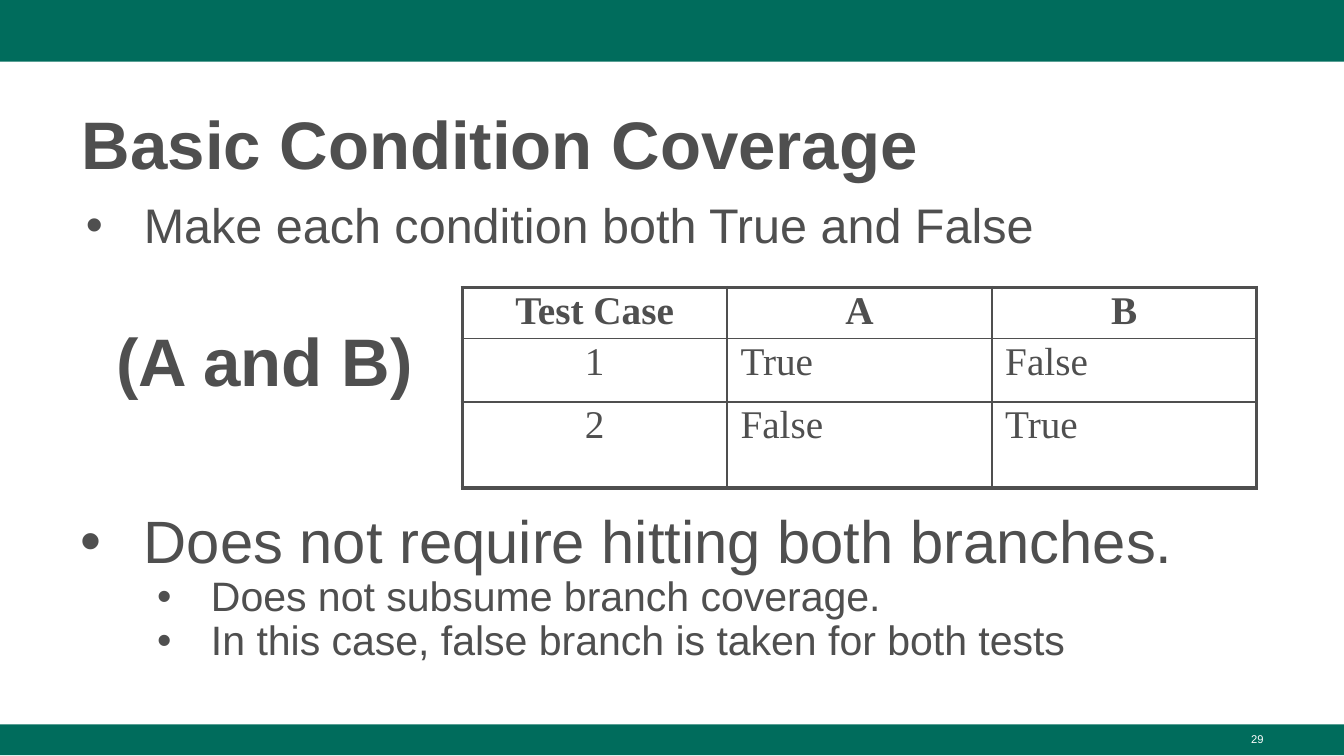
"""Build the Basic Condition Coverage slide."""
import pptx
import pptx.dml.color
import pptx.enum.shapes
import pptx.enum.text
import pptx.oxml
import pptx.oxml.ns
import pptx.util

Inches, Pt = pptx.util.Inches, pptx.util.Pt
ALIGN = pptx.enum.text.PP_ALIGN
ANCHOR = pptx.enum.text.MSO_ANCHOR

COLORS = {"band": "006C5C", "text": "4F4F4F", "page": "FFFFFF"}
WIDTH = 10
HEIGHT = WIDTH * 9 / 16
MARGIN, CONTENT_WIDTH = 0.51, 8.99
BANDS = [(0, 0.46), (5.39, 0.23)]

TITLE = "Basic Condition Coverage"
EXPRESSION = "(A and B)"
PAGE_NUMBER = "29"
BULLETS = [
    {"text": "Make each condition both True and False", "size": 26, "level": 0, "hang": 0.43, "before": 0},
    {"text": "Does not require hitting both branches.", "size": 32, "level": 0, "hang": 0.47, "before": 138},
    {"text": "Does not subsume branch coverage.", "size": 22, "level": 1, "hang": 0.4, "before": 0},
    {"text": "In this case, false branch is taken for both tests", "size": 22, "level": 1, "hang": 0.4, "before": 0},
]
TEST_CASES = [("Test Case", "A", "B"), ("1", "True", "False"), ("2", "False", "True")]
COLUMN_WIDTH = 1.97
ROW_HEIGHTS = [0.38, 0.47, 0.64]
OUTER_LINE, INNER_LINE = 2.25, 1


def rgb(name):
    return pptx.dml.color.RGBColor.from_string(COLORS[name])


def set_box(shape, left, top, width, height):
    shape.left, shape.top = Inches(left), Inches(top)
    shape.width, shape.height = Inches(width), Inches(height)


def set_frame(frame, insets, anchor=ANCHOR.TOP):
    frame.word_wrap = True
    frame.auto_size = pptx.enum.text.MSO_AUTO_SIZE.NONE
    frame.vertical_anchor = anchor
    frame.margin_left, frame.margin_top, frame.margin_right, frame.margin_bottom = map(Inches, insets)


def write(paragraph, text, size, color="text", bold=False, font="Arial",
          align=ALIGN.LEFT, spacing=1.0, before=0):
    paragraph.text = text
    paragraph.alignment = align
    paragraph.line_spacing = spacing
    paragraph.space_before = Pt(before)
    paragraph.font.name = font
    paragraph.font.size = Pt(size)
    paragraph.font.bold = bold
    paragraph.font.color.rgb = rgb(color)


def add_bullet(paragraph, margin, hang):
    properties = paragraph._p.get_or_add_pPr()
    properties.set("marL", str(Inches(margin)))
    properties.set("indent", str(-Inches(hang)))
    namespace = pptx.oxml.ns.nsdecls("a")
    for xml in (f'<a:buClr {namespace}><a:srgbClr val="{COLORS["text"]}"/></a:buClr>',
                f'<a:buFont {namespace} typeface="Arial"/>',
                f'<a:buChar {namespace} char="•"/>'):
        properties.append(pptx.oxml.parse_xml(xml))


def add_label(slide, text, box, insets, **style):
    label = slide.shapes.add_textbox(*map(Inches, box))
    set_frame(label.text_frame, insets)
    write(label.text_frame.paragraphs[0], text, **style)


def set_borders(cell, outer_sides):
    properties = cell._tc.get_or_add_tcPr()
    for side, outer in zip("LRTB", outer_sides):
        width = Pt(OUTER_LINE if outer else INNER_LINE)
        properties.append(pptx.oxml.parse_xml(
            f'<a:ln{side} {pptx.oxml.ns.nsdecls("a")} w="{width}"><a:solidFill>'
            f'<a:srgbClr val="{COLORS["text"]}"/></a:solidFill></a:ln{side}>'))


def add_test_table(slide):
    rows, columns = len(TEST_CASES), len(TEST_CASES[0])
    table = slide.shapes.add_table(
        rows, columns, Inches(3.44), Inches(2.14),
        Inches(COLUMN_WIDTH * columns), Inches(sum(ROW_HEIGHTS))).table
    table.first_row = table.horz_banding = False
    for column in table.columns:
        column.width = Inches(COLUMN_WIDTH)
    for r, (values, height) in enumerate(zip(TEST_CASES, ROW_HEIGHTS)):
        table.rows[r].height = Inches(height)
        for c, value in enumerate(values):
            cell = table.cell(r, c)
            cell.margin_left = cell.margin_right = Inches(0.1)
            cell.margin_top = cell.margin_bottom = Inches(0.04)
            set_borders(cell, (c == 0, c == columns - 1, r == 0, r == rows - 1))
            cell.fill.background()
            centred = r == 0 or c == 0
            write(cell.text_frame.paragraphs[0], value, 21, bold=r == 0, font="Times New Roman",
                  align=ALIGN.CENTER if centred else ALIGN.LEFT, spacing=0.9)


def main():
    presentation = pptx.Presentation()
    presentation.slide_width, presentation.slide_height = Inches(WIDTH), Inches(HEIGHT)
    slide = presentation.slides.add_slide(presentation.slide_layouts[1])
    slide.background.fill.solid()
    slide.background.fill.fore_color.rgb = rgb("page")

    for top, height in BANDS:
        band = slide.shapes.add_shape(pptx.enum.shapes.MSO_SHAPE.RECTANGLE,
                                      0, Inches(top), Inches(WIDTH), Inches(height))
        band.shadow.inherit = False
        band.fill.solid()
        band.fill.fore_color.rgb = rgb("band")
        band.line.fill.background()

    title, body = slide.placeholders
    set_box(title, MARGIN, 0.67, CONTENT_WIDTH, 0.73)
    set_frame(title.text_frame, (0.1, 0.05, 0.05, 0.05), ANCHOR.MIDDLE)
    write(title.text_frame.paragraphs[0], TITLE, 36, bold=True, spacing=1.08)

    set_box(body, MARGIN, 1.4, CONTENT_WIDTH, 3.81)
    frame = body.text_frame
    set_frame(frame, (0.06, 0.1, 0.1, 0.05))
    for index, item in enumerate(BULLETS):
        paragraph = frame.add_paragraph() if index else frame.paragraphs[0]
        paragraph.level = item["level"]
        add_bullet(paragraph, 0.5 * (item["level"] + 1), item["hang"])
        write(paragraph, item["text"], item["size"], spacing=0.9, before=item["before"])

    add_test_table(slide)
    add_label(slide, EXPRESSION, (0.77, 2.28, 2.57, 0.63), (0.1, 0.1, 0.1, 0.1), size=36, bold=True)
    add_label(slide, PAGE_NUMBER, (7.17, 5.4, 2.33, 0.23), (0.1, 0.05, 0.1, 0.05),
              size=6, color="page", align=ALIGN.RIGHT)
    presentation.save("out.pptx")


if __name__ == "__main__":
    main()
